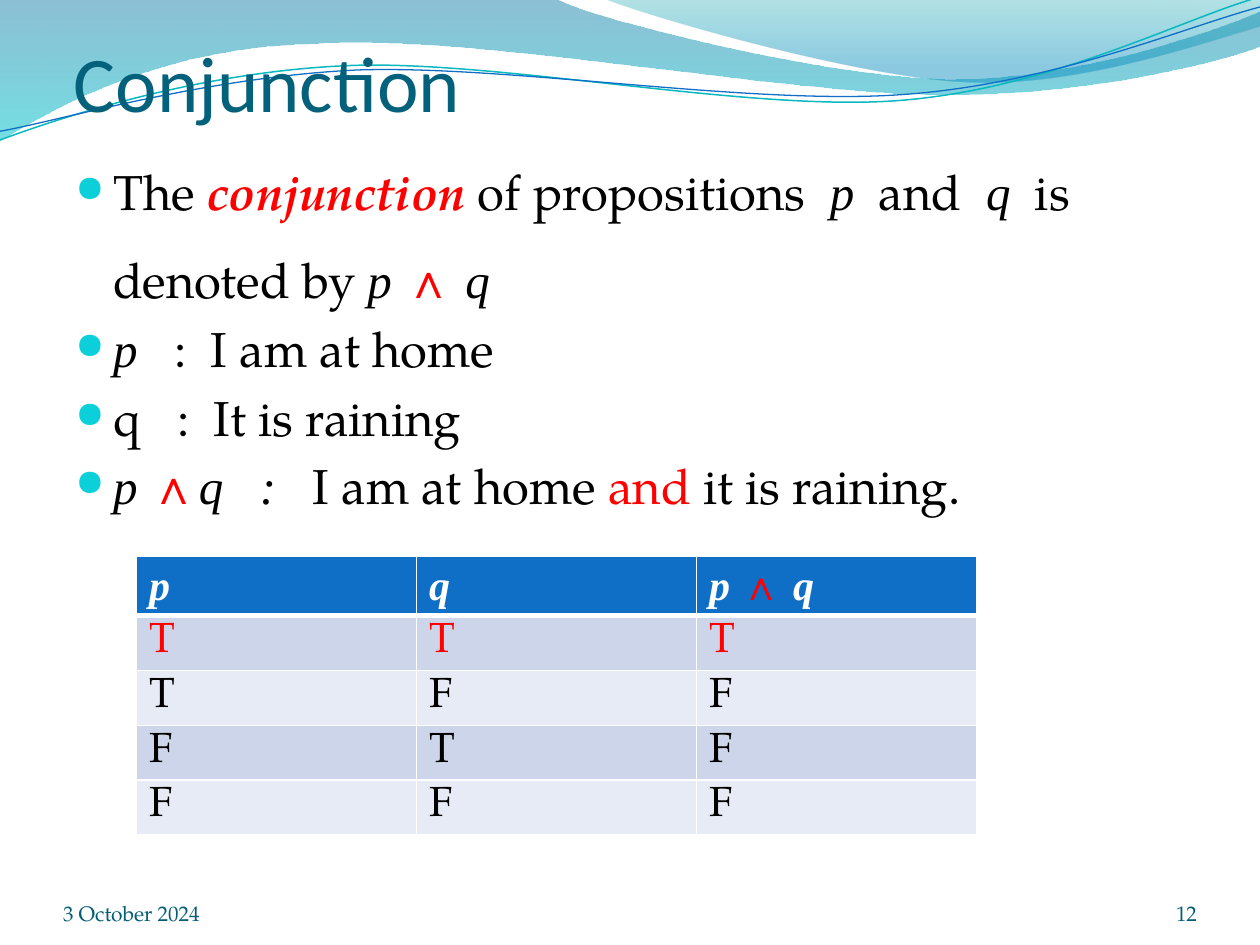
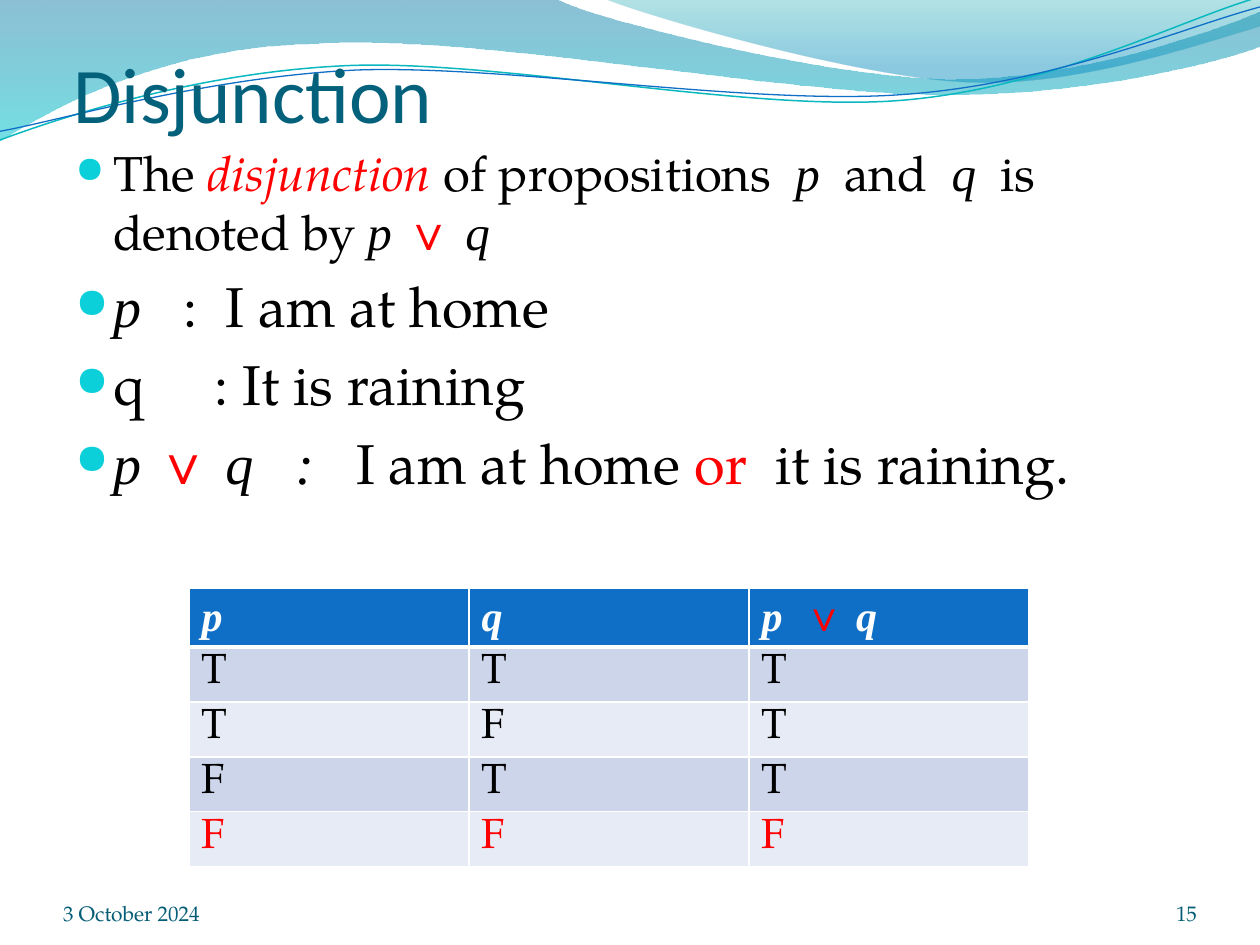
from lxml.etree import SubElement
from pptx import Presentation
from pptx.dml.color import RGBColor
from pptx.enum.text import MSO_ANCHOR, MSO_AUTO_SIZE, PP_ALIGN
from pptx.oxml.ns import qn
from pptx.util import Pt

SERIF, SYMBOLIC, HEADING = "TeX Gyre Pagella", "Times New Roman", "Calibri"
BLACK, WHITE, RED = "000000", "FFFFFF", "FF0000"
TITLE_COLOUR, FOOTER_COLOUR, BULLET_COLOUR = "04617B", "045D75", "0BD0D9"
HEADER_FILL, ROW_FILLS = "0F6FC6", ("CCD5EA", "E7EBF5")

PLAIN = {}
KEYWORD = {"colour": RED}
VARIABLE = {"font": SYMBOLIC, "italic": True}
OPERATOR = {"font": SYMBOLIC, "colour": RED}

# Each wave is a start point followed by straight (2 numbers) or cubic (6 numbers) steps.
WIDE_WAVE = [(0, 0), (317, -1), (343, 12, 478, 45, 546, 45), (614, 45, 690, 19, 720, 6.5),
             (721, 26), (708, 32, 626, 55, 537, 54), (448, 54, 275, 20, 185, 24.5),
             (93, 26, 33, 60, -1, 81)]
RIGHT_WAVE = [(345, -1), (366, 8, 491, 45, 554, 47), (616, 50, 692, 23, 720, 15), (720, 0)]
TEAL_LINE = [(0, 80), (35, 67, 114, 41, 199, 37.5), (284, 34, 427, 64, 513, 57.5),
             (600, 51, 675, 11, 719, -1.5)]
BLUE_LINE = [(0, 75), (34, 69, 118, 44, 204, 40), (290, 37, 430, 60.5, 516, 54),
             (602, 48, 678, 15, 720, 4)]


def rgb(colour):
    return RGBColor.from_string(colour)


def write(paragraph, text, font=SERIF, size=28, colour=BLACK, bold=False, italic=False):
    run = paragraph.add_run()
    run.text = text
    run.font.name = font
    run.font.size = Pt(size)
    run.font.color.rgb = rgb(colour)
    run.font.bold = bold
    run.font.italic = italic


def set_frame(text_frame, margins, anchor):
    text_frame.word_wrap = True
    text_frame.auto_size = MSO_AUTO_SIZE.NONE
    text_frame.vertical_anchor = anchor
    (text_frame.margin_left, text_frame.margin_top,
     text_frame.margin_right, text_frame.margin_bottom) = map(Pt, margins)


def add_text_box(slide, box, margins, anchor):
    text_frame = slide.shapes.add_textbox(*map(Pt, box)).text_frame
    set_frame(text_frame, margins, anchor)
    return text_frame


def add_outline(slide, steps, close):
    """Draw the steps as straight segments, then bend the cubic ones."""
    unit = Pt(0.01)
    ends = [(step[-2] * 100, step[-1] * 100) for step in steps]
    builder = slide.shapes.build_freeform(*ends[0], scale=unit)
    builder.add_line_segments(ends[1:], close=close)
    shape = builder.convert_to_shape()
    shape.shadow.inherit = False
    origin = shape.left / unit, shape.top / unit
    segments = list(shape._element.iter(qn("a:lnTo")))
    for segment, step in zip(segments, steps[1:]):
        if len(step) == 6:
            curve = segment.getparent().makeelement(qn("a:cubicBezTo"))
            for x, y in zip(step[::2], step[1::2]):
                SubElement(curve, qn("a:pt"), x=str(round(x * 100 - origin[0])),
                           y=str(round(y * 100 - origin[1])))
            segment.getparent().replace(segment, curve)
    return shape


def add_wave(slide, steps, stops):
    shape = add_outline(slide, steps, close=True)
    shape.line.fill.background()
    shape.fill.gradient()
    shape.fill.gradient_angle = 270
    for gradient_stop, (position, colour, opacity) in zip(shape.fill.gradient_stops, stops):
        gradient_stop.position = position
        gradient_stop.color.rgb = rgb(colour)
    for element, stop in zip(shape._element.iter(qn("a:srgbClr")), stops):
        SubElement(element, qn("a:alpha"), val=str(stop[2] * 1000))


def add_wave_line(slide, steps, colour, width):
    shape = add_outline(slide, steps, close=False)
    shape.fill.background()
    shape.line.color.rgb = rgb(colour)
    shape.line.width = Pt(width)


def add_waves(slide):
    add_wave(slide, WIDE_WAVE, [(0, "0074A1", 45), (1, "00C6CF", 55)])
    add_wave(slide, RIGHT_WAVE, [(0, "00A1A9", 30), (0.8, "008BBF", 45)])
    add_wave_line(slide, TEAL_LINE, "0AB8BF", 0.85)
    add_wave_line(slide, BLUE_LINE, "0F6FC6", 0.75)


def set_title(slide, text, top):
    title = slide.shapes.title
    slide.shapes._spTree.append(title._element)  # in front of the waves
    title.left, title.top, title.width, title.height = map(Pt, (42, top, 648, 55.5))
    set_frame(title.text_frame, (0, 3.6, 0, 0), MSO_ANCHOR.BOTTOM)
    paragraph = title.text_frame.paragraphs[0]
    paragraph.alignment = PP_ALIGN.LEFT
    write(paragraph, text, font=HEADING, size=45, colour=TITLE_COLOUR)


def add_bullet(paragraph):
    properties = paragraph._p.get_or_add_pPr()
    properties.set("marL", str(Pt(21.6)))
    properties.set("indent", str(-Pt(21.6)))
    colour = SubElement(properties, qn("a:buClr"))
    SubElement(colour, qn("a:srgbClr"), val=BULLET_COLOUR)
    SubElement(properties, qn("a:buSzPct"), val="75000")
    SubElement(properties, qn("a:buChar"), char="●")


def add_bullets(slide, box, bullets, sizes, first_spacing):
    text_frame = add_text_box(slide, box, (7.2, 3.6, 7.2, 3.6), MSO_ANCHOR.TOP)
    for index, (runs, size) in enumerate(zip(bullets, sizes)):
        paragraph = text_frame.paragraphs[0] if index == 0 else text_frame.add_paragraph()
        paragraph.line_spacing = first_spacing if index == 0 else 1.0
        paragraph.space_before = Pt(size / 5)
        add_bullet(paragraph)
        for text, style in runs:
            write(paragraph, text, size=size, **style)


def definition(term, term_style, operator, operator_style):
    return [("The ", PLAIN), (term, KEYWORD | term_style), (" of propositions  ", PLAIN),
            ("p", VARIABLE), ("  and  ", PLAIN), ("q", VARIABLE), ("  is denoted by ", PLAIN),
            ("p ", VARIABLE), (operator + " ", OPERATOR | operator_style), ("q", VARIABLE)]


def example(operator, word, ending):
    return [("p ", VARIABLE), (operator, OPERATOR), ("q   :   ", VARIABLE),
            ("I am at home ", PLAIN), (word, KEYWORD), (ending, PLAIN)]


def set_borders(cell, bottom):
    properties = cell._tc.get_or_add_tcPr()
    for position, (side, width) in enumerate(
            {"lnL": 1, "lnR": 1, "lnT": 1, "lnB": bottom}.items()):
        line = SubElement(properties, qn("a:" + side), w=str(Pt(width)))
        SubElement(SubElement(line, qn("a:solidFill")), qn("a:srgbClr"), val=WHITE)
        properties.insert(position, line)


def fill_cell(cell, runs, fill, bottom_border=1):
    cell.fill.solid()
    cell.fill.fore_color.rgb = rgb(fill)
    cell.margin_left = cell.margin_right = Pt(7.2)
    cell.margin_top = cell.margin_bottom = Pt(3.6)
    set_borders(cell, bottom_border)
    for text, style in runs:
        write(cell.text_frame.paragraphs[0], text, size=24, **style)


def add_truth_table(slide, left, top, result_heading, results, red_row):
    header_height, row_height, column_width = 33.5, 31.2, 160
    inputs = ["TT", "TF", "FT", "FF"]
    frame = slide.shapes.add_table(5, 3, Pt(left), Pt(top), Pt(3 * column_width),
                                   Pt(header_height + 4 * row_height))
    table = frame.table
    for column in table.columns:
        column.width = Pt(column_width)
    for index, row in enumerate(table.rows):
        row.height = Pt(row_height if index else header_height)

    variable = VARIABLE | {"colour": WHITE, "bold": True}
    before, operator, after = result_heading
    headings = [[("p", variable)], [("q", variable)],
                [(before, variable), (operator, OPERATOR | {"bold": True}), (after, variable)]]
    for column, runs in enumerate(headings):
        fill_cell(table.cell(0, column), runs, HEADER_FILL, bottom_border=3)
    for row, (values, result) in enumerate(zip(inputs, results), start=1):
        style = KEYWORD if row == red_row else PLAIN
        for column, value in enumerate(values + result):
            fill_cell(table.cell(row, column), [(value, style)], ROW_FILLS[(row - 1) % 2])


def add_footer(slide, number):
    for left, width, text, alignment in ((36, 168, "3 October 2024", PP_ALIGN.LEFT),
                                         (624, 60, number, PP_ALIGN.RIGHT)):
        text_frame = add_text_box(slide, (left, 500.5, width, 28.75), (0, 0, 0, 0),
                                  MSO_ANCHOR.BOTTOM)
        paragraph = text_frame.paragraphs[0]
        paragraph.alignment = alignment
        write(paragraph, text, size=12, colour=FOOTER_COLOUR)


def add_base_slide(presentation, title, title_top, number):
    slide = presentation.slides.add_slide(presentation.slide_layouts[5])
    add_waves(slide)
    set_title(slide, title, title_top)
    add_footer(slide, number)
    return slide


def add_conjunction_slide(presentation):
    slide = add_base_slide(presentation, "Conjunction", 18, "12")
    bullets = [definition("conjunction", {"bold": True, "italic": True}, "∧", {"bold": True}),
               [("p", VARIABLE), ("   :  I am at home", PLAIN)],
               [("q   :  It is raining", PLAIN)],
               example("∧", "and", " it is raining.")]
    add_bullets(slide, (36, 72, 648, 444), bullets, [28] * 4, first_spacing=1.5)
    add_truth_table(slide, 78, 318, ("p ", "∧ ", "q"), "TFFF", red_row=1)


def add_disjunction_slide(presentation):
    slide = add_base_slide(presentation, "Disjunction", 24, "15")
    bullets = [definition("disjunction", {"italic": True}, "∨", {}),
               [("p", VARIABLE), ("   :  I am at home", PLAIN)],
               [("q     : It is raining", PLAIN)],
               example("∨ ", "or", "  it is raining.")]
    add_bullets(slide, (36, 78, 648, 462), bullets, [28, 32, 32, 32], first_spacing=1.0)
    add_truth_table(slide, 108, 336, ("p  ", "∨ ", "q"), "TTTF", red_row=4)


def main():
    presentation = Presentation()
    presentation.slide_width, presentation.slide_height = Pt(720), Pt(540)
    add_conjunction_slide(presentation)
    add_disjunction_slide(presentation)
    presentation.save("out.pptx")


if __name__ == "__main__":
    main()
